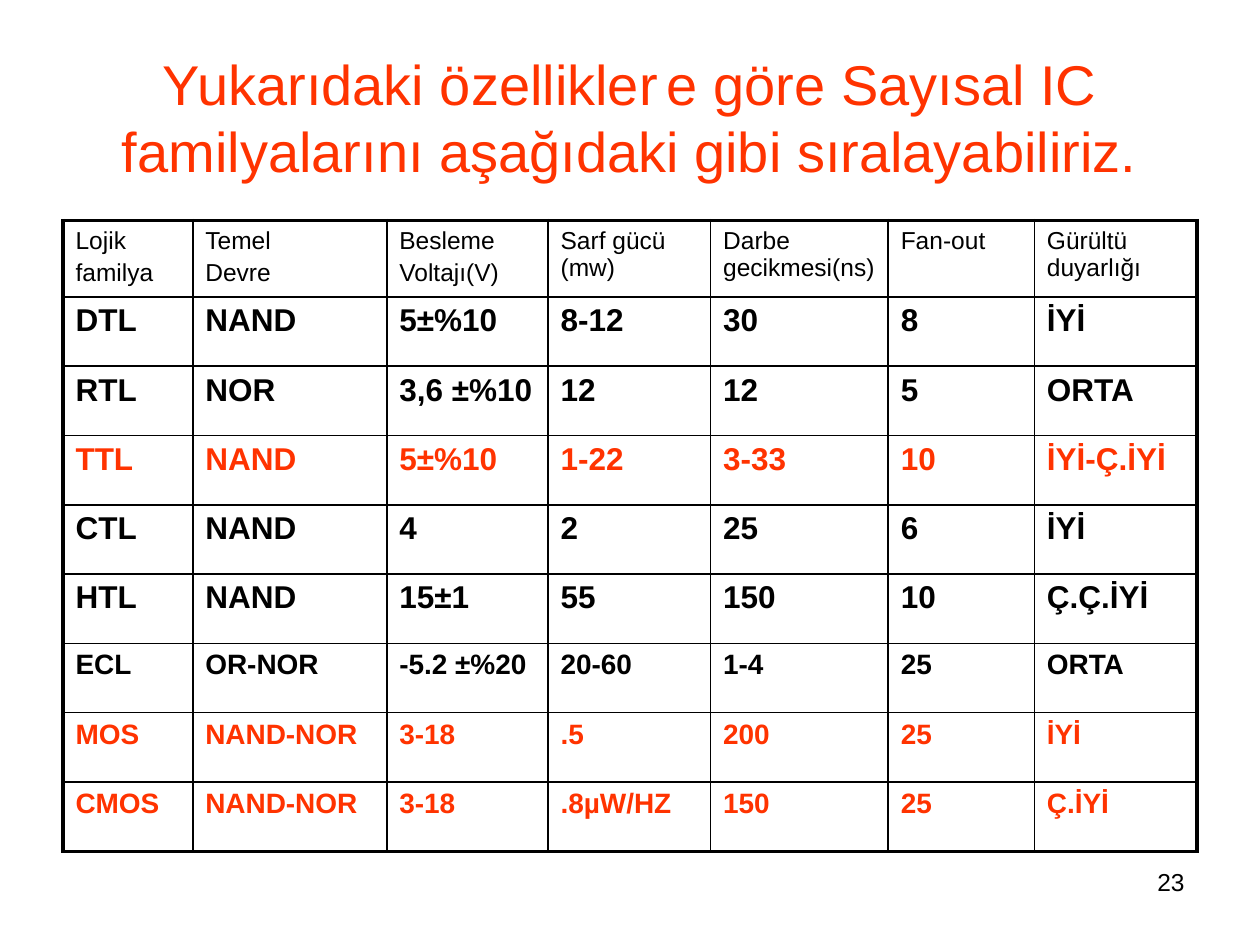
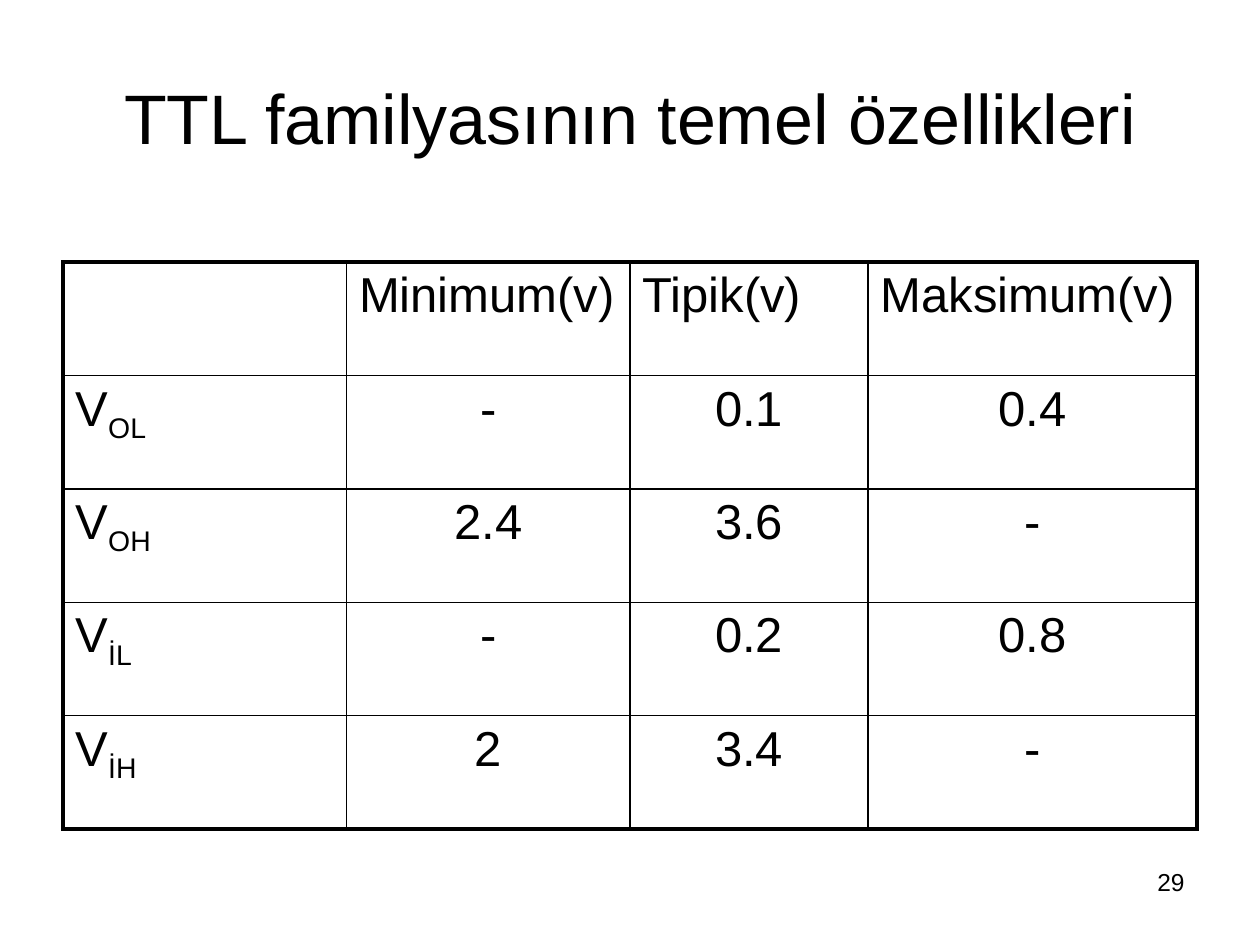
from pptx import Presentation
from pptx.dml.color import RGBColor
from pptx.enum.text import MSO_ANCHOR, PP_ALIGN
from pptx.oxml.ns import qn
from pptx.util import Inches, Pt
from lxml.etree import SubElement

FONT = "Arial"
BLACK = RGBColor(0x00, 0x00, 0x00)
RED = RGBColor(0xFF, 0x33, 0x00)
OUTER, INNER = 2.25, 1

FAMILY_TITLE = ("Yukarıdaki özellikler\te göre Sayısal IC "
                "familyalarını aşağıdaki gibi sıralayabiliriz.")
FAMILY_COLS = [1.03, 1.54, 1.28, 1.29, 1.41, 1.16, 1.29]
FAMILY_HEAD = ["Lojik\nfamilya", "Temel\nDevre", "Besleme\nVoltajı(V)", "Sarf gücü (mw)",
               "Darbe gecikmesi(ns)", "Fan-out", "Gürültü duyarlığı"]
FAMILIES = [
    ["DTL", "NAND", "5±%10", "8-12", "30", "8", "İYİ"],
    ["RTL", "NOR", "3,6 ±%10", "12", "12", "5", "ORTA"],
    ["TTL", "NAND", "5±%10", "1-22", "3-33", "10", "İYİ-Ç.İYİ"],
    ["CTL", "NAND", "4", "2", "25", "6", "İYİ"],
    ["HTL", "NAND", "15±1", "55", "150", "10", "Ç.Ç.İYİ"],
    ["ECL", "OR-NOR", "-5.2 ±%20", "20-60", "1-4", "25", "ORTA"],
    ["MOS", "NAND-NOR", "3-18", ".5", "200", "25", "İYİ"],
    ["CMOS", "NAND-NOR", "3-18", ".8µW/HZ", "150", "25", "Ç.İYİ"],
]
RED_FAMILIES = {"TTL", "MOS", "CMOS"}
SMALL_FAMILIES = {"ECL", "MOS", "CMOS"}

TTL_TITLE = "TTL familyasının temel özellikleri"
TTL_COLS = [2.25, 2.25, 1.89, 2.61]
TTL_HEAD = ["", "Minimum(v)", "Tipik(v)", "Maksimum(v)"]
TTL_LEVELS = [
    ["OL", "-", "0.1", "0.4"],
    ["OH", "2.4", "3.6", "-"],
    ["İL", "-", "0.2", "0.8"],
    ["İH", "2", "3.4", "-"],
]


def add_run(p, text, size, color=BLACK, bold=False, subscript=False):
    r = p.add_run()
    r.text = text
    f = r.font
    f.name, f.size, f.bold = FONT, Pt(size), bold
    f.color.rgb = color
    if subscript:
        r._r.get_or_add_rPr().set("baseline", "-25000")


def add_text(s, box, text, size, align, color=BLACK, anchor=MSO_ANCHOR.TOP):
    tf = s.shapes.add_textbox(*map(Inches, box)).text_frame
    tf.word_wrap = True
    tf.vertical_anchor = anchor
    p = tf.paragraphs[0]
    p.alignment = align
    add_run(p, text, size, color)


def add_slide(prs, title, size, color, number):
    s = prs.slides.add_slide(prs.slide_layouts[6])
    add_text(s, (0.5, 0.3, 9, 1.25), title, size, PP_ALIGN.CENTER, color, MSO_ANCHOR.MIDDLE)
    add_text(s, (7.17, 6.83, 2.33, 0.52), number, 14, PP_ALIGN.RIGHT)
    return s


def set_borders(cell, widths):
    tcPr = cell._tc.get_or_add_tcPr()
    for side, width in zip("LRTB", widths):
        ln = SubElement(tcPr, qn(f"a:ln{side}"), w=str(Pt(width)))
        fill = SubElement(ln, qn("a:solidFill"))
        SubElement(fill, qn("a:srgbClr"), val=str(BLACK))


def add_grid(s, top, cols, row_height, n_rows):
    n_cols = len(cols)
    table = s.shapes.add_table(n_rows, n_cols, Inches(0.5), Inches(top), Inches(sum(cols)),
                               Inches(row_height * n_rows)).table
    table.first_row = table.horz_banding = False
    for col, width in zip(table.columns, cols):
        col.width = Inches(width)
    for i, row in enumerate(table.rows):
        row.height = Inches(row_height)
        for j, cell in enumerate(row.cells):
            edges = (j == 0, j == n_cols - 1, i == 0, i == n_rows - 1)
            set_borders(cell, [OUTER if edge else INNER for edge in edges])
            cell.fill.background()
    return table


def fill_cell(cell, text, size, color=BLACK, bold=False, align=PP_ALIGN.LEFT, subscript=""):
    tf = cell.text_frame
    for k, line in enumerate(text.split("\n")):
        p = tf.add_paragraph() if k else tf.paragraphs[0]
        p.alignment = align
        p.space_before = Pt(size * 0.2)
        p.font.size = Pt(size)
        if line:
            add_run(p, line, size, color, bold)
        if subscript:
            add_run(p, subscript, size, color, bold, subscript=True)


def build_families(prs):
    s = add_slide(prs, FAMILY_TITLE, 32, RED, "23")
    table = add_grid(s, 1.75, FAMILY_COLS, 0.55, len(FAMILIES) + 1)
    for j, text in enumerate(FAMILY_HEAD):
        fill_cell(table.cell(0, j), text, 14)
    for i, family in enumerate(FAMILIES, 1):
        size = 16 if family[0] in SMALL_FAMILIES else 18
        color = RED if family[0] in RED_FAMILIES else BLACK
        for j, text in enumerate(family):
            fill_cell(table.cell(i, j), text, size, color, bold=True)


def build_ttl(prs):
    s = add_slide(prs, TTL_TITLE, 40, BLACK, "29")
    table = add_grid(s, 2.08, TTL_COLS, 0.9, len(TTL_LEVELS) + 1)
    for j, text in enumerate(TTL_HEAD):
        fill_cell(table.cell(0, j), text, 28)
    for i, (level, *values) in enumerate(TTL_LEVELS, 1):
        fill_cell(table.cell(i, 0), "V", 28, subscript=level)
        for j, text in enumerate(values, 1):
            fill_cell(table.cell(i, j), text, 28, align=PP_ALIGN.CENTER)


def main():
    prs = Presentation()
    prs.slide_width, prs.slide_height = Inches(10), Inches(7.5)
    build_families(prs)
    build_ttl(prs)
    prs.save("out.pptx")


if __name__ == "__main__":
    main()
